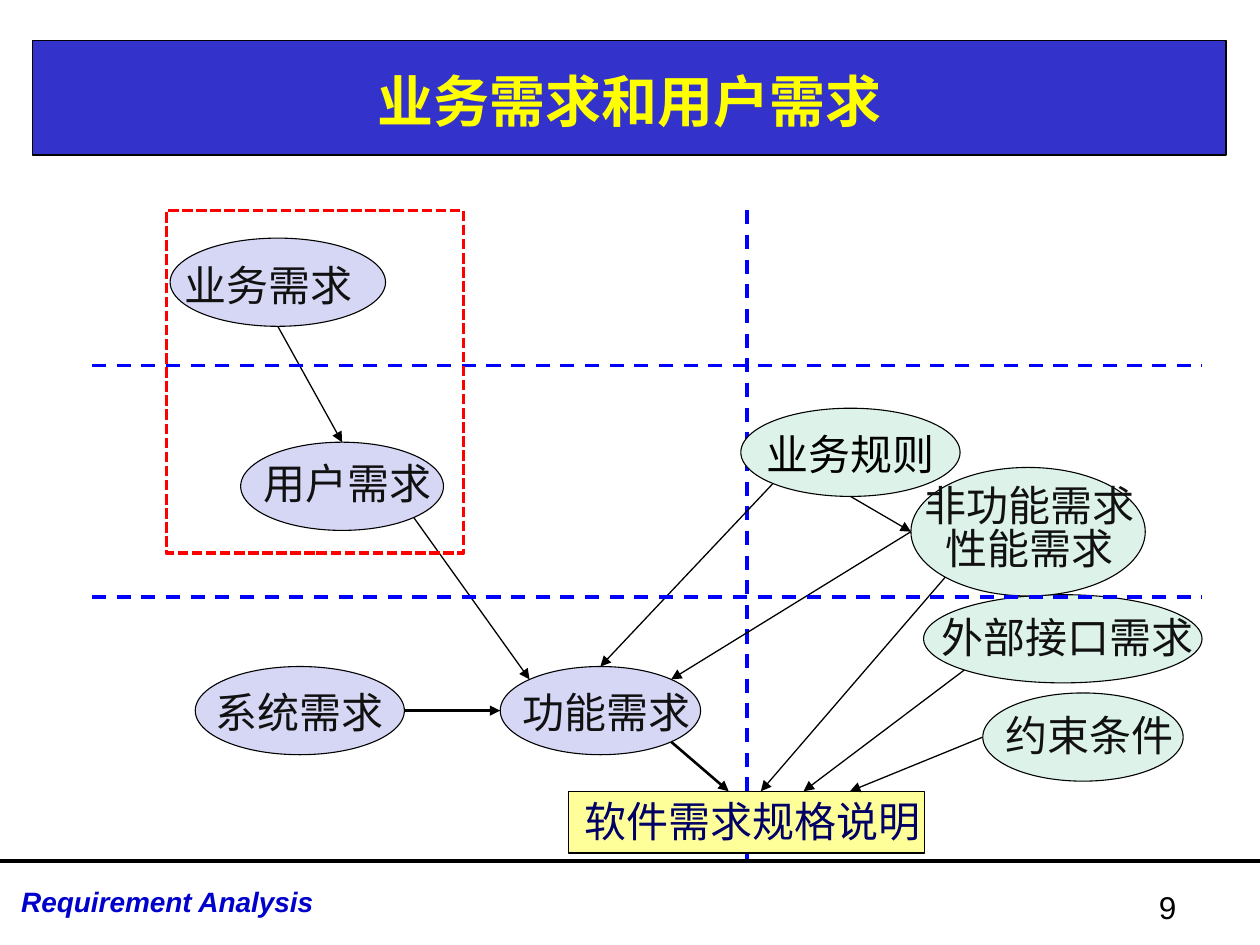
from dataclasses import dataclass
from math import sqrt

from lxml import etree
from pptx import Presentation
from pptx.dml.color import RGBColor
from pptx.enum import dml, shapes, text
from pptx.oxml.ns import qn
from pptx.util import Inches, Pt


@dataclass(frozen=True)
class Theme:
    font: str = "Noto Sans CJK SC"
    lead_font: str = "Cabin"
    footer_font: str = "Arial"
    title_size: int = 32
    label_size: int = 24
    number_size: int = 18
    footer_size: int = 16
    black: str = "000000"
    ink: str = "111111"
    band: str = "3333CC"
    title: str = "FFFF00"
    footer: str = "0000CC"
    divider: str = "0000FF"
    frame: str = "FF0000"
    functional: str = "D6D6F5"
    other: str = "DDF3EA"
    document: str = "FFFF99"
    document_ink: str = "000066"
    thin: float = 0.75
    outline: float = 0.63
    medium: float = 1.5
    dashed: float = 2
    rule: float = 2.25


THEME = Theme()


@dataclass(frozen=True)
class Box:
    """A rectangle in inches."""
    left: float
    top: float
    width: float
    height: float

    def inside(self, left, top, width, height):
        return Box(self.left + left, self.top + top, width, height)

    def at(self, across, down):
        """The point at the given fractions of width and height."""
        return self.left + across * self.width, self.top + down * self.height

    def emu(self):
        return [Inches(v) for v in (self.left, self.top, self.width, self.height)]


NEAR, FAR = 0.5 - sqrt(0.125), 0.5 + sqrt(0.125)
TOP, BOTTOM, LEFT, RIGHT = (0.5, 0), (0.5, 1), (0, 0.5), (1, 0.5)
TOP_LEFT, TOP_RIGHT = (NEAR, NEAR), (FAR, NEAR)
BOTTOM_LEFT, BOTTOM_RIGHT = (NEAR, FAR), (FAR, FAR)

# key: label lines, box in the diagram, label shift from the node's centre and top
NODES = {
    "business": (["业务需求"], (0.62, 0.22, 1.71, 0.7), (-0.07, 0.17)),
    "rules": (["业务规则"], (5.15, 1.57, 1.74, 0.7), (0, 0.16)),
    "function": (["功能需求"], (3.24, 3.62, 1.59, 0.7), (0.05, 0.16)),
    "system": (["系统需求"], (0.82, 3.62, 1.66, 0.7), (0, 0.16)),
    "document": (["软件需求规格说明"], (3.78, 4.61, 2.83, 0.49), (0.05, 0.03)),
    "interface": (["外部接口需求"], (6.6, 3.05, 2.21, 0.7), (0.04, 0.13)),
    "user": (["用户需求"], (1.18, 1.84, 1.61, 0.7), (0.04, 0.12)),
    "constraint": (["约束条件"], (7.07, 3.83, 1.59, 0.7), (0.05, 0.13)),
    "quality": (["非功能需求", "性能需求"], (6.5, 2.04, 1.86, 1.02), (0.01, 0.16)),
}
FUNCTIONAL = {"business", "function", "system", "user"}
LEAD_TEXT = {"interface": "外部接口"}

ARROWS = [
    ("system", RIGHT, "function", LEFT, THEME.medium),
    ("function", BOTTOM_RIGHT, "document", (0.45, 0), THEME.medium),
    ("user", BOTTOM_RIGHT, "function", TOP_LEFT, THEME.thin),
    ("business", BOTTOM, "user", TOP, THEME.thin),
    ("rules", BOTTOM_LEFT, "function", TOP, THEME.thin),
    ("rules", BOTTOM, "quality", LEFT, THEME.thin),
    ("quality", LEFT, "function", TOP_RIGHT, THEME.thin),
    ("quality", BOTTOM_LEFT, "document", (0.54, 0), THEME.thin),
    ("interface", BOTTOM_LEFT, "document", (0.66, 0), THEME.thin),
    ("constraint", LEFT, "document", (0.79, 0), THEME.thin),
]


def format_run(run, size, color, font=THEME.font, bold=False, italic=False):
    run.font.size, run.font.name = Pt(size), font
    run.font.bold, run.font.italic = bold, italic
    run.font.color.rgb = RGBColor.from_string(color)
    latin = run.font._element.find(qn("a:latin"))
    east_asian = etree.Element(qn("a:ea"), typeface=font)
    latin.addnext(east_asian)


def add_preset(parent, kind, box, fill, line, width):
    shape = parent.shapes.add_shape(kind, *box.emu())
    shape.shadow.inherit = False
    if fill:
        shape.fill.solid()
        shape.fill.fore_color.rgb = RGBColor.from_string(fill)
    else:
        shape.fill.background()
    shape.line.color.rgb = RGBColor.from_string(line)
    shape.line.width = Pt(width)
    return shape


def add_line(slide, start, end, color, width, dash=None, arrow=False):
    points = [Inches(v) for v in (*start, *end)]
    line = slide.shapes.add_connector(shapes.MSO_CONNECTOR.STRAIGHT, *points)
    line.line.color.rgb = RGBColor.from_string(color)
    line.line.width = Pt(width)
    if dash:
        line.line.dash_style = dash
    if arrow:
        etree.SubElement(line.line._get_or_add_ln(), qn("a:tailEnd"), type="triangle")
    etree.SubElement(line._element.spPr, qn("a:effectLst"))


def add_plain_text(slide, box, content, size, color, **style):
    frame = slide.shapes.add_textbox(*box.emu()).text_frame
    frame.word_wrap = True
    frame.text = content
    format_run(frame.paragraphs[0].runs[0], size, color, THEME.footer_font, **style)


def add_label(parent, box, lines, color, lead=""):
    frame = parent.shapes.add_textbox(*box.emu()).text_frame
    frame.word_wrap = True
    frame.margin_left = frame.margin_right = frame.margin_top = frame.margin_bottom = 0
    for index, line in enumerate(lines):
        paragraph = frame.add_paragraph() if index else frame.paragraphs[0]
        paragraph.alignment = text.PP_ALIGN.CENTER
        if len(lines) > 1:
            paragraph.line_spacing = 0.85
        for part, font in ((lead, THEME.lead_font), (line.removeprefix(lead), THEME.font)):
            if part:
                run = paragraph.add_run()
                run.text = part
                format_run(run, THEME.label_size, color, font)


def add_node(slide, key, box):
    """Group a node's outline with its label."""
    lines, _, (shift, drop) = NODES[key]
    kind, fill, ink = shapes.MSO_SHAPE.OVAL, THEME.other, THEME.ink
    if key in FUNCTIONAL:
        fill = THEME.functional
    elif key == "document":
        kind, fill, ink = shapes.MSO_SHAPE.RECTANGLE, THEME.document, THEME.document_ink
    elif key == "rules":
        ink = THEME.black
    group = slide.shapes.add_group_shape()
    add_preset(group, kind, box, fill, THEME.black, THEME.outline)
    label = box.inside(shift - 0.25, drop, box.width + 0.5, 0.4 if len(lines) == 1 else 0.76)
    add_label(group, label, lines, ink, LEAD_TEXT.get(key, ""))


def add_title(slide, box):
    band = add_preset(slide, shapes.MSO_SHAPE.RECTANGLE, box, THEME.band, THEME.black, THEME.thin)
    title = slide.shapes.title
    title._element.addprevious(band._element)
    area = box.inside(0, 0.04, box.width, box.height - 0.04)
    title.left, title.top, title.width, title.height = area.emu()
    frame = title.text_frame
    frame.text = "业务需求和用户需求"
    frame.vertical_anchor = text.MSO_ANCHOR.MIDDLE
    frame.paragraphs[0].alignment = text.PP_ALIGN.CENTER
    format_run(frame.paragraphs[0].runs[0], THEME.title_size, THEME.title, bold=True)


def add_footer(slide, box):
    add_line(slide, box.at(0, 0), box.at(1, 0), THEME.black, THEME.rule)
    add_plain_text(slide, box.inside(0.07, 0.14, 2.91, 0.37), "Requirement Analysis",
                   THEME.footer_size, THEME.footer, bold=True, italic=True)
    add_plain_text(slide, box.inside(9.1, 0.17, 0.67, 0.5), "9", THEME.number_size, THEME.black)


def add_diagram(slide, box):
    dash = dml.MSO_LINE.DASH
    add_line(slide, box.at(0.59, 0), box.at(0.59, 1), THEME.divider, THEME.dashed, dash)
    places = {key: box.inside(*node[1]) for key, node in NODES.items()}
    for key, place in places.items():
        add_node(slide, key, place)
    for source, start, target, end, width in ARROWS:
        add_line(slide, places[source].at(*start), places[target].at(*end),
                 THEME.black, width, arrow=True)
    for drop in (1.23, 3.07):
        row = box.inside(0, drop, box.width, 0)
        add_line(slide, row.at(0, 0), row.at(1, 0), THEME.divider, THEME.dashed, dash)
    frame = add_preset(slide, shapes.MSO_SHAPE.RECTANGLE, box.inside(0.59, 0, 2.36, 2.72),
                       None, THEME.frame, THEME.dashed)
    frame.line.dash_style = dml.MSO_LINE.SQUARE_DOT


def main():
    presentation = Presentation()
    presentation.slide_width, presentation.slide_height = Inches(10), Inches(7.5)
    slide = presentation.slides.add_slide(presentation.slide_layouts[5])
    add_title(slide, Box(0.26, 0.32, 9.47, 0.91))
    add_footer(slide, Box(0, 6.83, 10, 0.67))
    add_diagram(slide, Box(0.73, 1.67, 8.81, 5.15))
    presentation.save("out.pptx")


if __name__ == "__main__":
    main()
